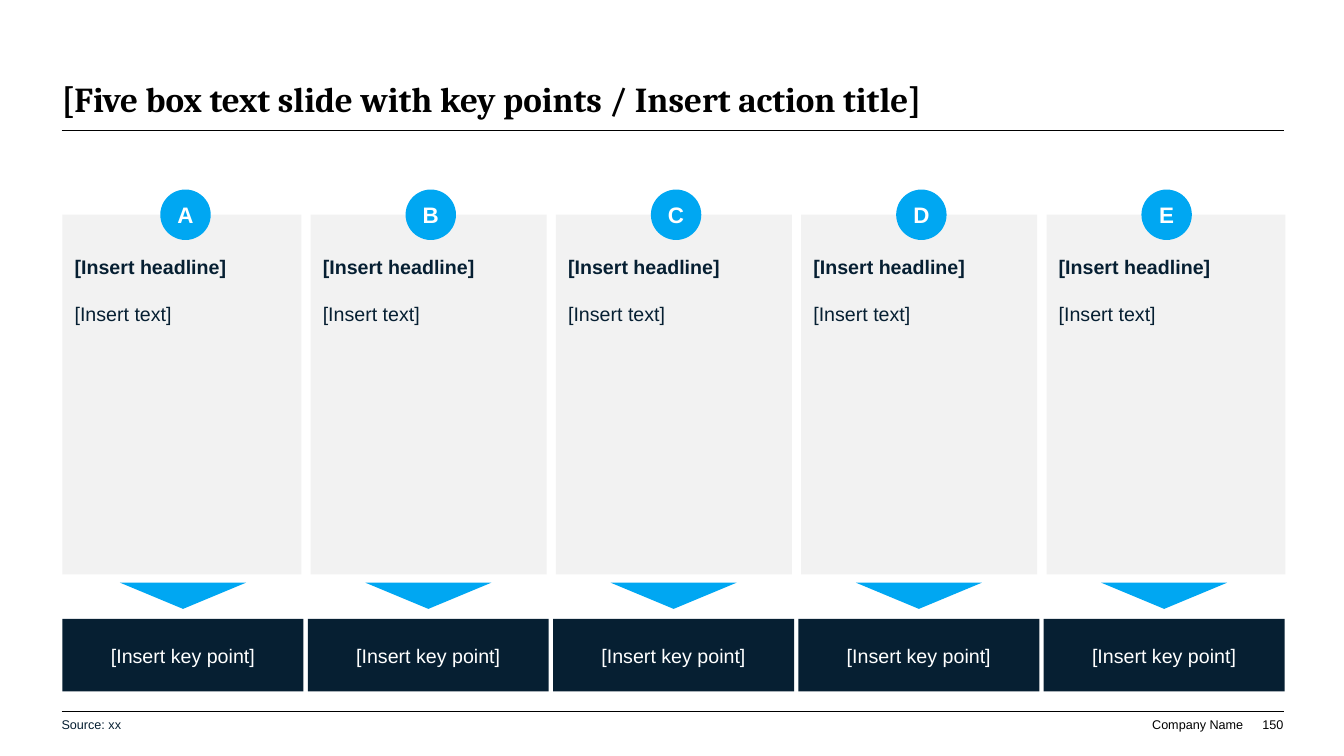
from dataclasses import dataclass

import pptx
import pptx.dml.color
import pptx.enum.shapes
import pptx.enum.text
import pptx.oxml
import pptx.util
from pptx.shapes.autoshape import Shape
from pptx.slide import Slide

SLIDE_WIDTH = pptx.util.Inches(13.33)
SLIDE_HEIGHT = pptx.util.Inches(7.5)
COLOURS = {
    "black": "000000",
    "white": "FFFFFF",
    "panel": "F2F2F2",
    "navy": "061F32",
    "accent": "00A7F2",
}
COLUMN_STEP = 18.25
LETTERS = "ABCDE"
RULE_LEFT, RULE_RIGHT = 4.58, 95.5

SHAPES = pptx.enum.shapes.MSO_SHAPE
ANCHOR = pptx.enum.text.MSO_ANCHOR
ALIGN = pptx.enum.text.PP_ALIGN


@dataclass(frozen=True)
class Area:
    """Edges and sizes as percentages of the slide's width and height."""

    left: float
    top: float
    width: float
    height: float

    def shifted(self, distance: float) -> "Area":
        return Area(self.left + distance, self.top, self.width, self.height)

    def lengths(self) -> tuple[int, int, int, int]:
        return across(self.left), down(self.top), across(self.width), down(self.height)


@dataclass(frozen=True)
class Style:
    size: float
    colour: str
    bold: bool = False
    align: ALIGN = ALIGN.LEFT
    font: str = "Arial"
    space_before: float = 0


@dataclass(frozen=True)
class Label:
    text: str
    area: Area
    style: Style
    anchor: ANCHOR = ANCHOR.BOTTOM
    inset: float = 0
    wrap: bool = True


TITLE = Label(
    "[Five box text slide with key points / Insert action title]",
    Area(RULE_LEFT, 5.2, RULE_RIGHT - RULE_LEFT, 10.67),
    Style(25, "black", bold=True, font="Cambria"),
)
FOOTERS = [
    Label("Company Name", Area(85.67, 94.8, 6.83, 2),
          Style(9, "black", align=ALIGN.RIGHT), wrap=False),
    Label("150", Area(92.8, 94.8, 2.7, 2), Style(9, "black", align=ALIGN.RIGHT)),
    Label("Source: xx", Area(3.83, 93.2, 59.86, 5.33), Style(9, "navy"),
          anchor=ANCHOR.MIDDLE, inset=0.75),
]
RULE_TOPS = [17.2, 94.13]

CARD = Area(4.87, 28.4, 17.55, 47.6)
CARD_OVERHANG = 0.22
BADGE = Area(11.93, 25.07, 3.75, 6.67)
ARROW = Area(8.93, 77.07, 9.38, 3.47)
KEY_POINT = Area(4.65, 81.87, 17.93, 9.6)

HEADLINE_STYLE = Style(14, "navy", bold=True)
BODY_STYLE = Style(14, "navy", space_before=17)
BADGE_STYLE = Style(16, "white", bold=True, align=ALIGN.CENTER)
KEY_POINT_STYLE = Style(14, "white", align=ALIGN.CENTER)


def across(share: float) -> int:
    return round(SLIDE_WIDTH * share / 100)


def down(share: float) -> int:
    return round(SLIDE_HEIGHT * share / 100)


def colour(name: str) -> pptx.dml.color.RGBColor:
    return pptx.dml.color.RGBColor.from_string(COLOURS[name])


def write(box: Shape, lines: list[tuple[str, Style]], anchor: ANCHOR,
          insets: tuple[float, float, float, float] = (0, 0, 0, 0),
          wrap: bool = True) -> None:
    frame = box.text_frame
    frame.auto_size = pptx.enum.text.MSO_AUTO_SIZE.NONE
    frame.word_wrap = wrap
    frame.vertical_anchor = anchor
    left, top, right, bottom = insets
    frame.margin_left, frame.margin_right = across(left), across(right)
    frame.margin_top, frame.margin_bottom = down(top), down(bottom)
    for index, (text, style) in enumerate(lines):
        para = frame.add_paragraph() if index else frame.paragraphs[0]
        para.text = text
        para.alignment = style.align
        para.space_before = pptx.util.Pt(style.space_before)
        para.font.name = style.font
        para.font.size = pptx.util.Pt(style.size)
        para.font.bold = style.bold
        para.font.color.rgb = colour(style.colour)


def write_label(box: Shape, label: Label) -> None:
    insets = (label.inset, 0, label.inset, 0)
    write(box, [(label.text, label.style)], label.anchor, insets, label.wrap)


def add_block(page: Slide, kind: SHAPES, area: Area, fill: str) -> Shape:
    block = page.shapes.add_shape(kind, *area.lengths())
    block.shadow.inherit = False
    block.fill.solid()
    block.fill.fore_color.rgb = colour(fill)
    block.line.fill.background()
    return block


def add_rule(page: Slide, top: float) -> None:
    rule = page.shapes.add_connector(
        pptx.enum.shapes.MSO_CONNECTOR.STRAIGHT,
        across(RULE_LEFT), down(top), across(RULE_RIGHT), down(top))
    rule.line.color.rgb = colour("black")
    rule.line.width = pptx.util.Pt(0.5)
    rule.element.spPr.append(pptx.oxml.parse_xml(
        '<a:effectLst xmlns:a="http://schemas.openxmlformats.org/drawingml/2006/main"/>'))


def card_area(index: int) -> Area:
    area = CARD.shifted(index * COLUMN_STEP)
    before = CARD_OVERHANG if index == 0 else 0
    after = CARD_OVERHANG if index == len(LETTERS) - 1 else 0
    return Area(area.left - before, area.top, area.width + before + after, area.height)


def add_column(page: Slide, index: int, letter: str) -> None:
    shift = index * COLUMN_STEP
    card = add_block(page, SHAPES.RECTANGLE, card_area(index), "panel")
    write(card, [("[Insert headline]", HEADLINE_STYLE), ("[Insert text]", BODY_STYLE)],
          ANCHOR.TOP, (0.9, 5.33, 0.6, 1.07))
    badge = add_block(page, SHAPES.OVAL, BADGE.shifted(shift), "accent")
    write(badge, [(letter, BADGE_STYLE)], ANCHOR.MIDDLE)
    arrow = add_block(page, SHAPES.ISOSCELES_TRIANGLE, ARROW.shifted(shift), "accent")
    arrow.rotation = 180
    key_point = add_block(page, SHAPES.RECTANGLE, KEY_POINT.shifted(shift), "navy")
    write(key_point, [("[Insert key point]", KEY_POINT_STYLE)], ANCHOR.MIDDLE)


def main() -> None:
    deck = pptx.Presentation()
    deck.slide_width, deck.slide_height = SLIDE_WIDTH, SLIDE_HEIGHT
    page = deck.slides.add_slide(deck.slide_layouts.get_by_name("Title Only"))
    title = page.shapes.title
    title.left, title.top, title.width, title.height = TITLE.area.lengths()
    write_label(title, TITLE)
    for top in RULE_TOPS:
        add_rule(page, top)
    for index, letter in enumerate(LETTERS):
        add_column(page, index, letter)
    for footer in FOOTERS:
        write_label(page.shapes.add_textbox(*footer.area.lengths()), footer)
    deck.save("out.pptx")


if __name__ == "__main__":
    main()
